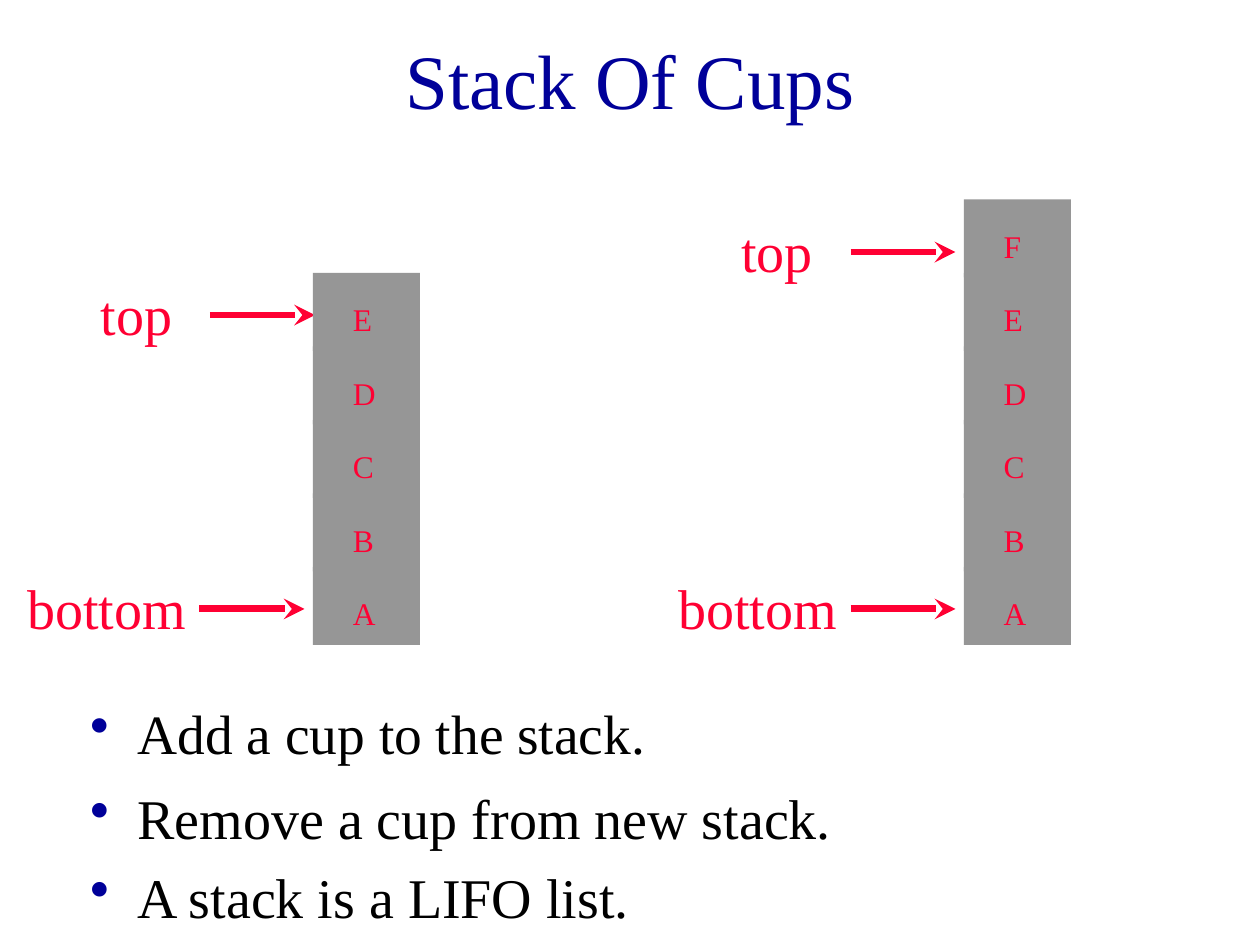
from lxml import etree
from pptx import Presentation
from pptx import util as u
from pptx.dml.color import RGBColor
from pptx.enum import shapes, text
from pptx.oxml.ns import qn

Pt = u.Pt
RED, NAVY, GRAY, BLACK = "FF0033", "000099", "969696", "000000"
STEP = 42      # rise from one cup to the next
BASE = 324     # top of the lowest cup


def tint(code):
    return RGBColor.from_string(code)


class Deck:
    font = "Times New Roman"
    inset = 3.6

    def __init__(self, wide, high):
        self.show = Presentation()
        self.show.slide_width, self.show.slide_height = Pt(wide), Pt(high)
        self.page = self.show.slides.add_slide(self.show.slide_layouts[5])

    def frame(self, shape, anchor):
        frame = shape.text_frame
        frame.word_wrap = True
        frame.auto_size = text.MSO_AUTO_SIZE.NONE
        frame.vertical_anchor = anchor
        frame.margin_left = frame.margin_right = Pt(self.inset)
        frame.margin_top = frame.margin_bottom = Pt(self.inset)
        return frame

    def run(self, para, words, size, color):
        run = para.add_run()
        run.text = words
        run.font.name, run.font.size = self.font, Pt(size)
        run.font.color.rgb = tint(color)

    def title(self, words, x, y, w, h):
        shape = self.page.shapes.title
        shape.left, shape.top, shape.width, shape.height = map(Pt, (x, y, w, h))
        para = self.frame(shape, text.MSO_ANCHOR.MIDDLE).paragraphs[0]
        para.alignment = text.PP_ALIGN.CENTER
        self.run(para, words, 44, NAVY)

    def box(self, x, y, w, h):
        shape = self.page.shapes.add_textbox(*map(Pt, (x, y, w, h)))
        return self.frame(shape, text.MSO_ANCHOR.TOP)

    def label(self, words, x, y, w, h, size):
        self.run(self.box(x, y, w, h).paragraphs[0], words, size, RED)

    def list(self, lines, x, y, w, h, size):
        frame = self.box(x, y, w, h)
        for i, words in enumerate(lines):
            para = frame.add_paragraph() if i else frame.paragraphs[0]
            props = para._p.get_or_add_pPr()
            props.set("marL", str(Pt(27)))
            props.set("indent", str(Pt(-27)))
            hue = etree.SubElement(props, qn("a:buClr"))
            etree.SubElement(hue, qn("a:srgbClr"), val=NAVY)
            etree.SubElement(props, qn("a:buChar"), char="•")
            if i:
                para.space_before = Pt(7)
            self.run(para, words, size, BLACK)

    def block(self, x, y, w, h):
        shape = self.page.shapes.add_shape(
            shapes.MSO_SHAPE.RECTANGLE, *map(Pt, (x, y, w, h)))
        shape.shadow.inherit = False
        shape.fill.solid()
        shape.fill.fore_color.rgb = tint(GRAY)
        shape.line.fill.background()

    def arrow(self, x, y, span):
        line = self.page.shapes.add_connector(
            shapes.MSO_CONNECTOR.STRAIGHT, *map(Pt, (x, y, x + span, y)))
        line.line.color.rgb = tint(RED)
        line.line.width = Pt(4)
        etree.SubElement(line.line._get_or_add_ln(), qn("a:tailEnd"), type="stealth")
        etree.SubElement(line._element.spPr, qn("a:effectLst"))

    def stack(self, cups, x, top, shift=0):
        """Draw cups from the bottom up; top is the upper arrow's height."""
        self.label("bottom", x, BASE, 108, 43, 32)
        self.arrow(x + 102, 348, 60)
        self.label("top", x + 36 + shift, top - 24, 72, 43, 32)
        self.arrow(x + 102 + shift, top, 60)
        for i, cup in enumerate(cups):
            y = BASE - i * STEP
            self.block(x + 166.8, y, 61.2, 44.5)
            self.label(cup, x + 186, y + 12, 42, 27.5, 18)


def main():
    deck = Deck(720, 540)
    deck.title("Stack Of Cups", 54, 12, 612, 66)
    deck.stack("ABCDE", 12, 180, shift=6)
    deck.stack("ABCDEF", 384, 144)
    deck.list(["Add a cup to the stack."], 48, 396, 612, 42, 31.7)
    deck.list(["Remove a cup from new stack.", "A stack is a LIFO list."],
              48, 444, 612, 88, 32)
    deck.show.save("out.pptx")


if __name__ == "__main__":
    main()
